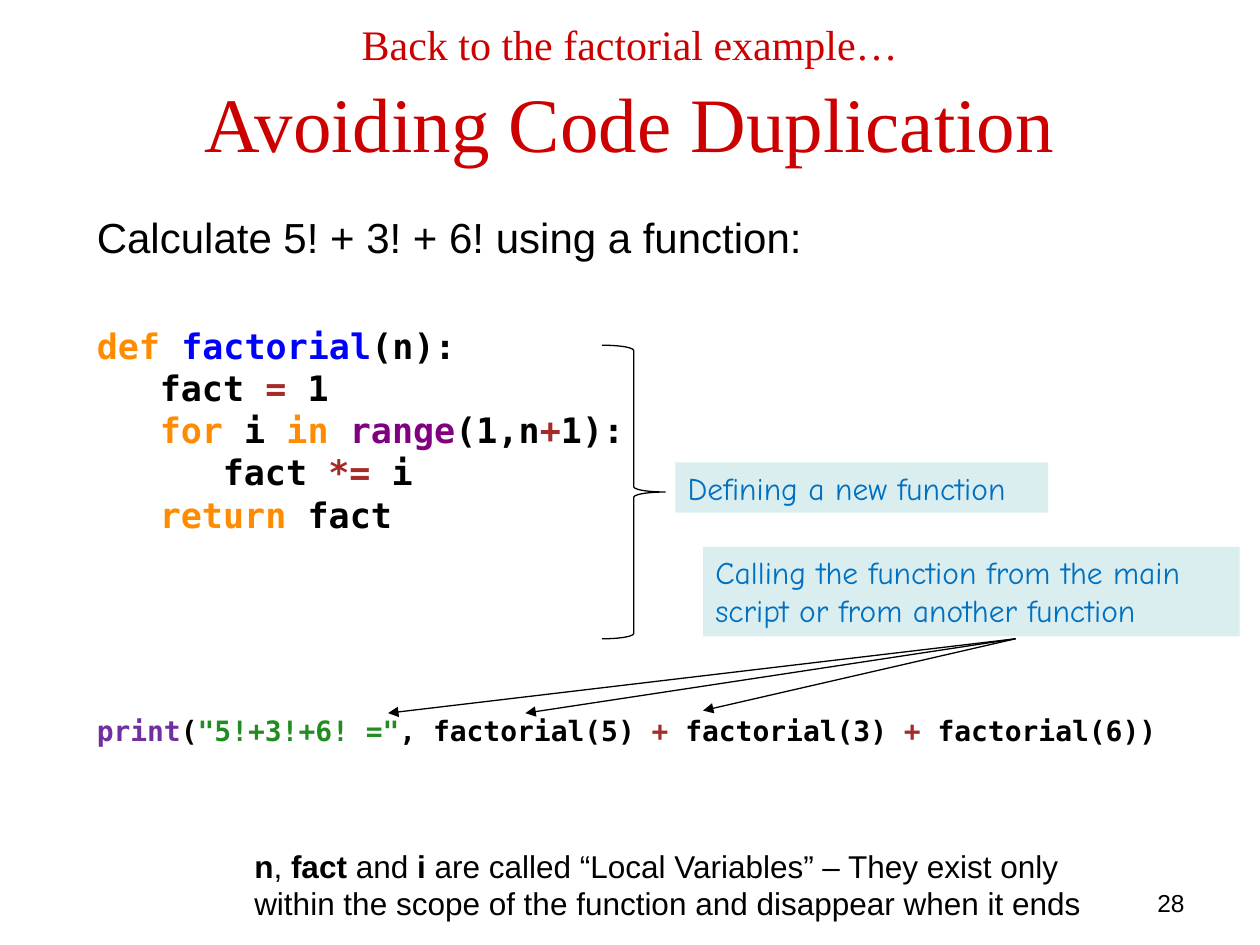
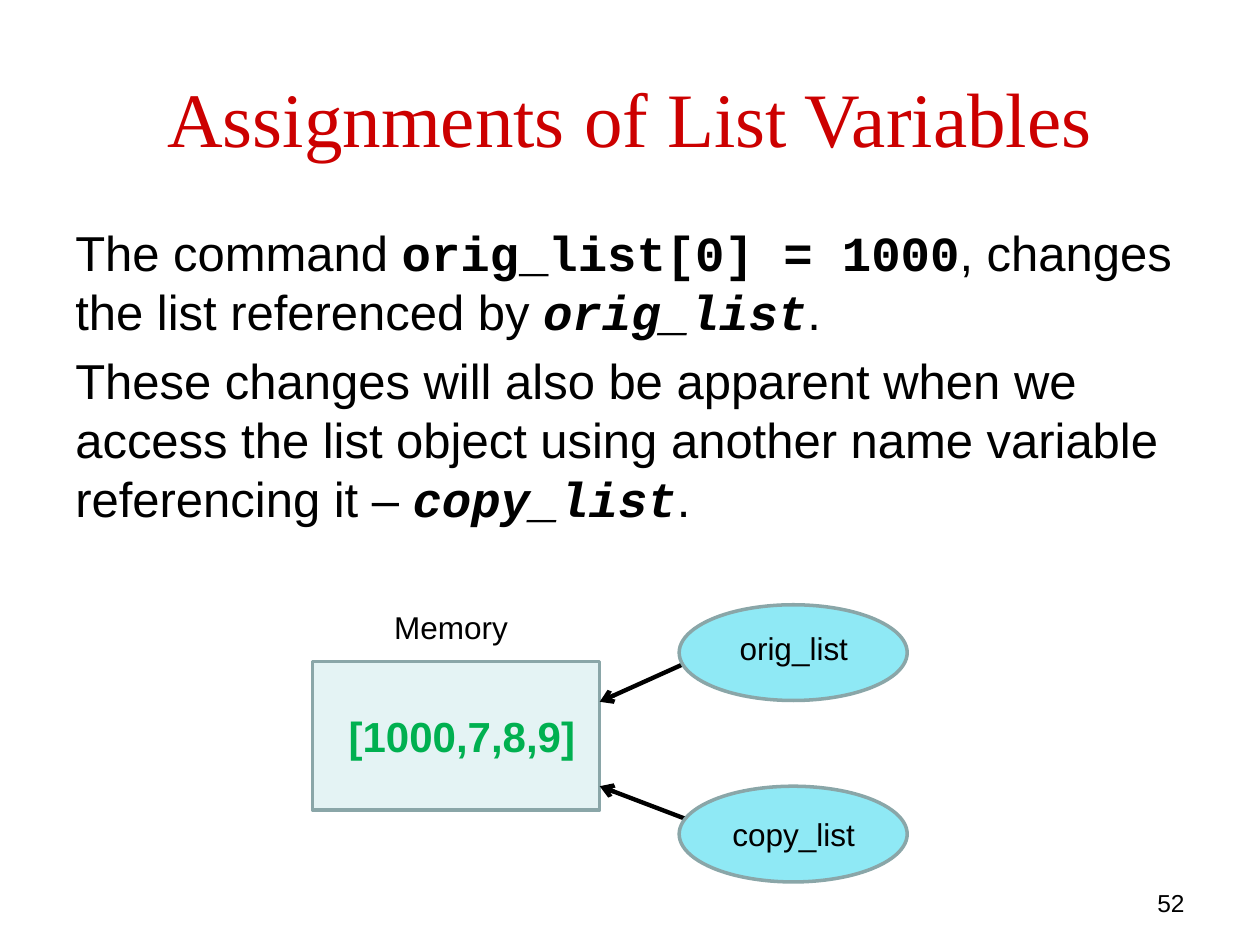
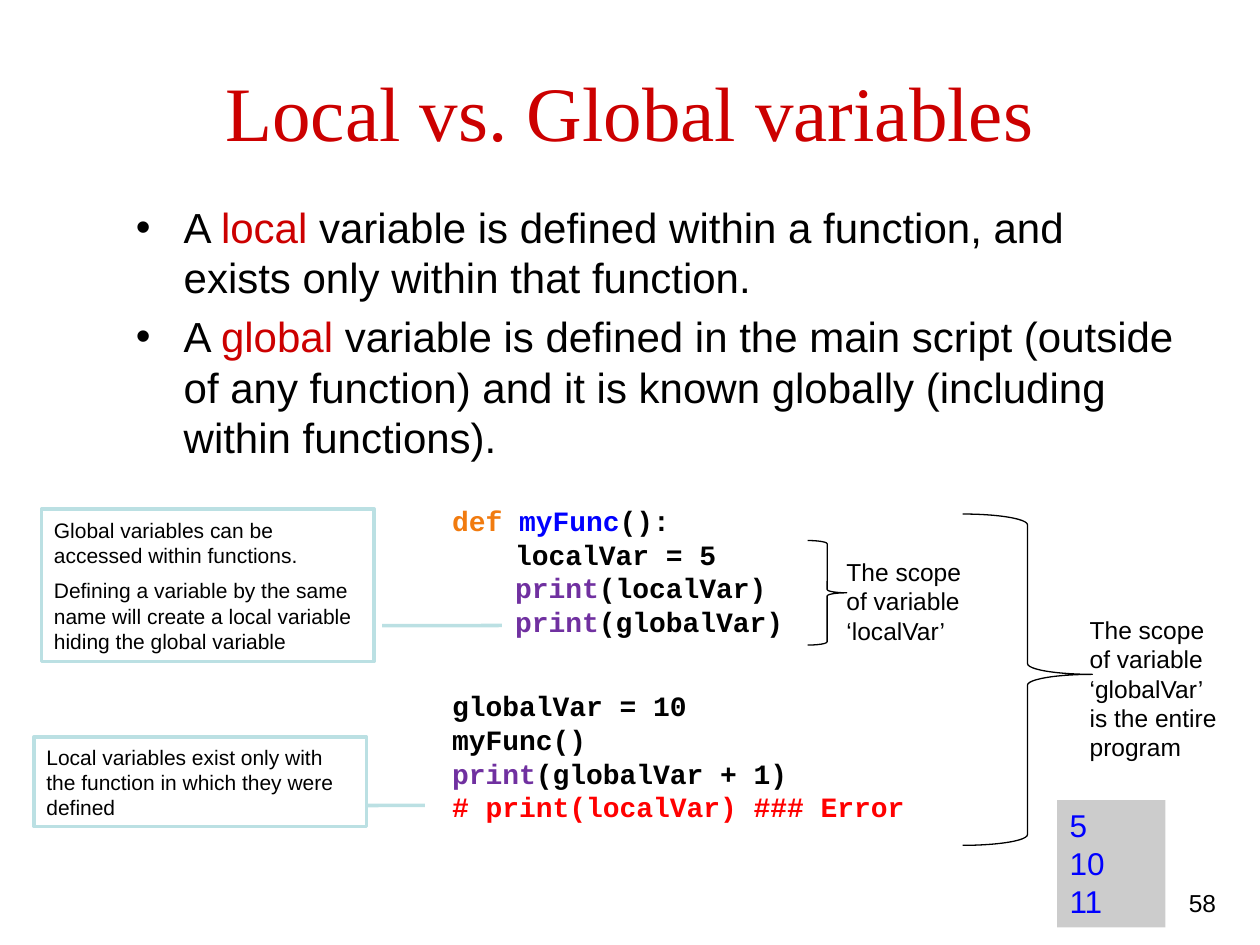
from dataclasses import dataclass

from lxml.etree import SubElement
from pptx import Presentation
from pptx.dml.color import RGBColor
from pptx.enum.shapes import MSO_CONNECTOR, MSO_SHAPE
from pptx.enum.text import MSO_ANCHOR, PP_ALIGN
from pptx.oxml.ns import qn
from pptx.util import Inches, Pt

# Shared style
BLACK, RED = "000000", "CC0000"
ORANGE, BLUE, BROWN, PURPLE = "FF8C00", "0000FF", "A52A2A", "7030A0"
NOTE_FILL, NOTE_TEXT, CALLOUT_LINE = "DAEDEF", "0070C0", "BBE0E3"
NODE_FILL, MEMORY_FILL, NODE_LINE = "8FE9F5", "E4F3F4", "8AA6A8"
SANS, TITLE_FONT, NOTE_FONT = "Arial", "Times New Roman", "Comic Neue"
CODE_FONT, MONO = "DejaVu Sans Mono", "Courier New"


@dataclass
class Para:
    """Runs are plain strings or (text, style) pairs; other fields override the box."""
    runs: list
    before: float = 0
    style: dict = None


def tint(text, color):
    return text, {"color": color}


def bold(text):
    return text, {"bold": True}


# Slide 1: factorial
CODE_STYLE = {"font": CODE_FONT, "size": 20, "bold": True}
FACTORIAL = [
    Para(["Calculate 5! + 3! + 6! using a function:"]),
    Para([tint("def ", ORANGE), tint("factorial", BLUE), "(n):"], 36, CODE_STYLE),
    Para(["\tfact ", tint("=", BROWN), " 1"], 0, CODE_STYLE),
    Para([tint("\tfor", ORANGE), " i ", tint("in ", ORANGE), tint("range", "800080"),
          "(1,n", tint("+", BROWN), "1):"], 0, CODE_STYLE),
    Para(["\t\tfact ", tint("*=", BROWN), " i"], 0, CODE_STYLE),
    Para([tint("\treturn", ORANGE), " fact"], 0, CODE_STYLE),
    Para([tint("print", PURPLE), "(", tint('"5!+3!+6! ="', "228B22"), ", factorial(5) ",
          tint("+", BROWN), " factorial(3) ", tint("+", BROWN), " factorial(6))"],
         102, {**CODE_STYLE, "size": 16}),
]
FACTORIAL_NOTES = [
    ((5.36, 3.67, 2.96, 0.4), "Defining a new function"),
    ((5.58, 4.34, 4.26, 0.71),
     "Calling the function from the main script or from another function"),
]
CALL_START = (8.06, 5.07)
CALL_ENDS = [(3.08, 5.66), (4.17, 5.66), (5.58, 5.64)]
LOCAL_VARIABLES = [
    bold("n"), ", ", bold("fact"), " and ", bold("i "),
    "are called “Local Variables” – They exist only within the scope of the function "
    "and disappear when it ends",
]

# Slide 2: list assignment
NAME_STYLE = {"font": MONO, "bold": True, "italic": True}
ASSIGNMENT = [
    Para(["The command ", ("orig_list[0] = 1000", {"font": MONO, "bold": True}),
          ", changes the list referenced by ", ("orig_list", NAME_STYLE), "."]),
    Para(["These changes will also be apparent when we access the list object using "
          "another name variable referencing it – ", ("copy_list", NAME_STYLE), "."], 5.6),
]
# name, ellipse top, label top, arrow start y, arrow end y
LIST_NAMES = [
    ("orig_list", 4.8, 4.94, 5.25, 5.57),
    ("copy_list", 6.24, 6.42, 6.51, 6.24),
]

# Slide 3: variable scope
DEFINITIONS = [
    Para(["A ", tint("local ", RED),
          "variable is defined within a function, and exists only within that function."]),
    Para(["A ", tint("global ", RED),
          "variable is defined in the main script (outside of any function) and it is "
          "known globally (including within functions)."], 4.8),
]
SCOPE_CODE = [
    Para([tint("def ", "F17B0F"), tint("myFunc", BLUE), "():"]),
    Para(["\tlocalVar = 5"]),
    Para(["\t", tint("print", PURPLE), "(localVar)"]),
    Para(["\t", tint("print", PURPLE), "(globalVar)"]),
    Para(["globalVar = 10"], 29),
    Para(["myFunc()"]),
    Para([tint("print", PURPLE), "(globalVar + 1)"]),
    Para([tint("# print(localVar) ### Error", "FF0000")]),
]
SCOPES = [  # brace, its adjustments, label box, label
    ((6.41, 4.29, 0.31, 0.83), (), (6.62, 4.37, 1.13, 0.81),
     "The scope of variable ‘localVar’"),
    ((7.64, 4.08, 1.03, 2.63), (0.083, 0.484), (8.55, 4.83, 1.23, 1.28),
     "The scope of variable ‘globalVar’ is the entire program"),
]
CALLOUTS = [  # box, leader start x, leader end x, paragraphs
    ((0.33, 4.04, 2.64, 1.21), 1.024, 1.384,
     [Para(["Global variables can be accessed within functions."]),
      Para(["Defining a variable by the same name will create a local variable hiding "
            "the global variable"], 6)]),
    ((0.27, 5.85, 2.64, 0.71), 1.004, 1.175,
     [Para(["Local variables exist only with the function in which they were defined"])]),
]
OUTPUT = ["5", "10", "11"]


def rgb(color):
    return RGBColor.from_string(color)


def set_font(target, color=None, size=None, font=None, bold=None, italic=None):
    if color:
        target.color.rgb = rgb(color)
    if size:
        target.size = Pt(size)
    if font:
        target.name = font
    if bold is not None:
        target.bold = bold
    if italic is not None:
        target.italic = italic


def write(shape, paragraphs, size, font=SANS, color=BLACK, bold=False,
          align=PP_ALIGN.LEFT, anchor=MSO_ANCHOR.TOP, bullet=False):
    frame = shape.text_frame
    frame.word_wrap = True
    frame.vertical_anchor = anchor
    base = {"size": size, "font": font, "color": color, "bold": bold}
    for index, para in enumerate(paragraphs):
        paragraph = frame.add_paragraph() if index else frame.paragraphs[0]
        paragraph.alignment = align
        paragraph.space_before = Pt(para.before)
        if bullet:
            properties = paragraph._p.get_or_add_pPr()
            properties.set("marL", str(Inches(0.38)))
            properties.set("indent", str(Inches(-0.38)))
            SubElement(properties, qn("a:buFont"), typeface=SANS)
            SubElement(properties, qn("a:buChar"), char="•")
        set_font(paragraph.font, **{**base, **(para.style or {})})
        for part in para.runs:
            text, style = (part, {}) if isinstance(part, str) else part
            run = paragraph.add_run()
            run.text = text
            set_font(run.font, **style)
    return frame


def add_text(slide, box, paragraphs, size, **style):
    return write(slide.shapes.add_textbox(*map(Inches, box)), paragraphs, size, **style)


def add_preset(slide, preset, box, fill=None, line=None, width=0.75, adjustments=()):
    shape = slide.shapes.add_shape(preset, *map(Inches, box))
    shape.shadow.inherit = False
    if fill:
        shape.fill.solid()
        shape.fill.fore_color.rgb = rgb(fill)
    else:
        shape.fill.background()
    if line:
        shape.line.color.rgb = rgb(line)
        shape.line.width = Pt(width)
    else:
        shape.line.fill.background()
    for index, value in enumerate(adjustments):
        shape.adjustments[index] = value
    return shape


def add_arrow(slide, start, end, width, head):
    arrow = slide.shapes.add_connector(MSO_CONNECTOR.STRAIGHT, *map(Inches, start + end))
    arrow.line.color.rgb = rgb(BLACK)
    arrow.line.width = Pt(width)
    properties = arrow._element.spPr
    SubElement(properties.find(qn("a:ln")), qn("a:tailEnd"), type=head)
    SubElement(properties, qn("a:effectLst"))


def add_slide(deck, title, number, title_top=0.3, number_left=7.17):
    slide = deck.slides.add_slide(deck.slide_layouts[6])
    frame = add_text(slide, (0.5, title_top, 9, 1.25), title, 44, font=TITLE_FONT,
                     color=RED, align=PP_ALIGN.CENTER, anchor=MSO_ANCHOR.MIDDLE)
    add_text(slide, (number_left, 7, 2.33, 0.25), [Para([str(number)])], 14,
             align=PP_ALIGN.RIGHT)
    return slide, frame


def build_factorial(deck):
    slide, title = add_slide(deck, [
        Para(["Back to the factorial example…"], 0, {"size": 24}),
        Para(["Avoiding Code Duplication"], 4)], 28)
    title.margin_bottom = Inches(0.42)
    add_text(slide, (0.67, 1.63, 8.67, 4.44), FACTORIAL, 24)
    add_preset(slide, MSO_SHAPE.RIGHT_BRACE, (4.78, 2.74, 0.5, 2.33), line=BLACK)
    for box, note in FACTORIAL_NOTES:
        write(add_preset(slide, MSO_SHAPE.RECTANGLE, box, NOTE_FILL),
              [Para([note])], 18, font=NOTE_FONT, color=NOTE_TEXT)
    for end in CALL_ENDS:
        add_arrow(slide, CALL_START, end, 0.75, "triangle")
    add_text(slide, (1.92, 6.67, 7, 0.71), [Para(LOCAL_VARIABLES)], 18)


def build_assignment(deck):
    slide, _ = add_slide(deck, [Para(["Assignments of List Variables"])], 52)
    add_text(slide, (0.5, 1.72, 9, 4.95), ASSIGNMENT, 28)
    # Memory cell
    memory = add_preset(slide, MSO_SHAPE.RECTANGLE, (2.48, 5.25, 2.28, 1.18),
                        MEMORY_FILL, NODE_LINE, 2)
    write(memory, [Para(["[1000,7,8,9]"])], 24, color="00B050", bold=True,
          align=PP_ALIGN.CENTER, anchor=MSO_ANCHOR.MIDDLE).margin_left = Inches(0.19)
    add_text(slide, (3.03, 4.78, 1.18, 0.4), [Para(["Memory"])], 18)
    # Names pointing at it
    for name, top, label_top, start_y, end_y in LIST_NAMES:
        add_arrow(slide, (5.47, start_y), (4.76, end_y), 2.5, "arrow")
        add_preset(slide, MSO_SHAPE.OVAL, (5.39, top, 1.81, 0.76), NODE_FILL, NODE_LINE, 2)
        add_text(slide, (5.71, label_top, 1.18, 0.4), [Para([name])], 18,
                 align=PP_ALIGN.CENTER)


def build_scope(deck):
    slide, _ = add_slide(deck, [Para(["Local vs. Global variables"])], 58, 0.25, 7.42)
    add_text(slide, (0.98, 1.55, 8.5, 5), DEFINITIONS, 24, bullet=True)
    for brace, adjustments, box, label in SCOPES:
        add_preset(slide, MSO_SHAPE.RIGHT_BRACE, brace, line=BLACK, adjustments=adjustments)
        add_text(slide, box, [Para([label])], 14)
    for box, start_x, end_x, paragraphs in CALLOUTS:
        callout = add_preset(slide, MSO_SHAPE.LINE_CALLOUT_1, box, line=CALLOUT_LINE, width=2,
                             adjustments=(0.765, start_x, 0.764, end_x))
        write(callout, paragraphs, 12, anchor=MSO_ANCHOR.MIDDLE)
    write(add_preset(slide, MSO_SHAPE.RECTANGLE, (8.39, 6.35, 0.86, 1.01), "CCCCCC"),
          [Para([line]) for line in OUTPUT], 18, color=BLUE)
    add_text(slide, (3.49, 3.95, 3.85, 2.93), SCOPE_CODE, 16, font=MONO, bold=True)


def main():
    deck = Presentation()
    deck.slide_width, deck.slide_height = Inches(10), Inches(7.5)
    build_factorial(deck)
    build_assignment(deck)
    build_scope(deck)
    deck.save("out.pptx")


if __name__ == "__main__":
    main()
